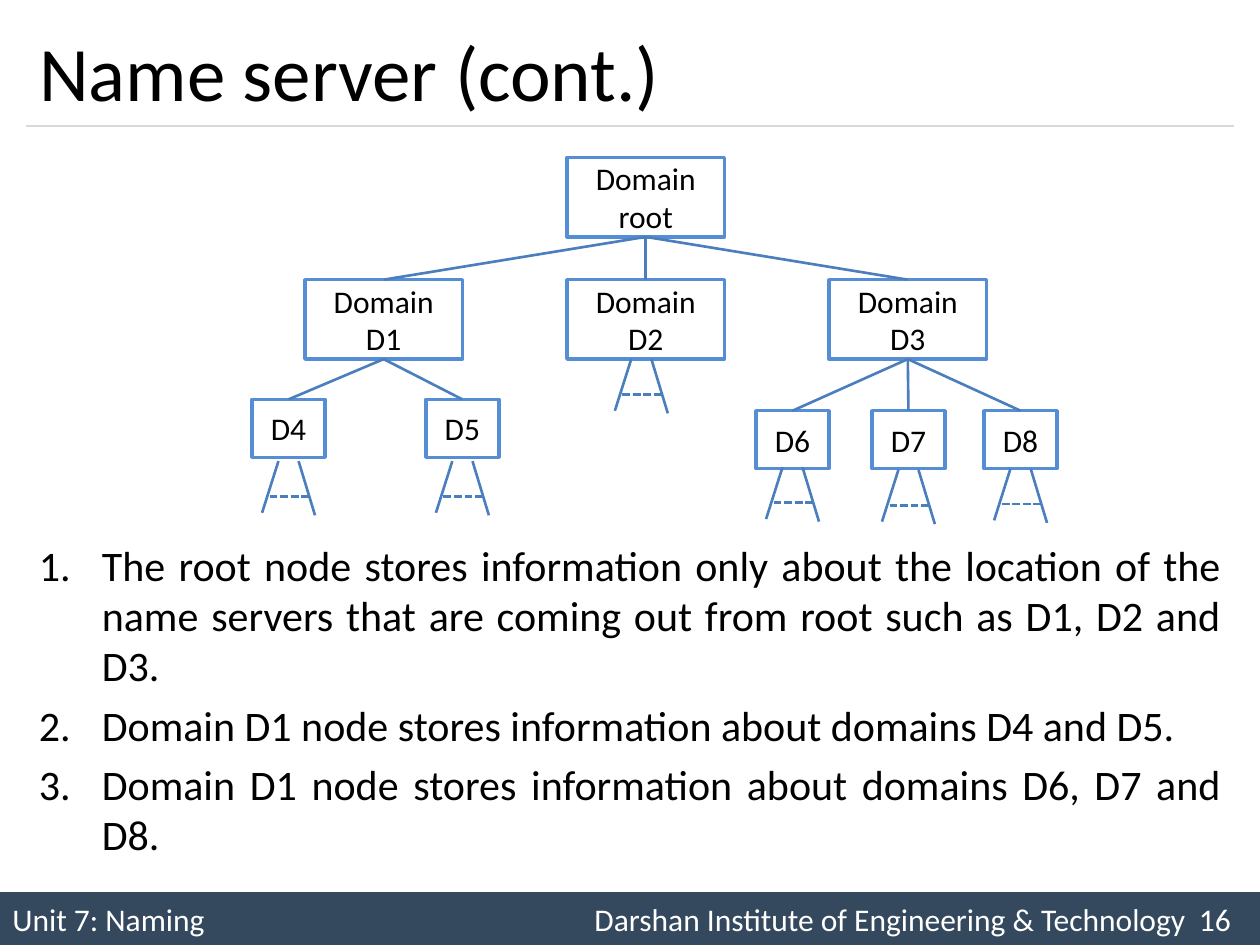
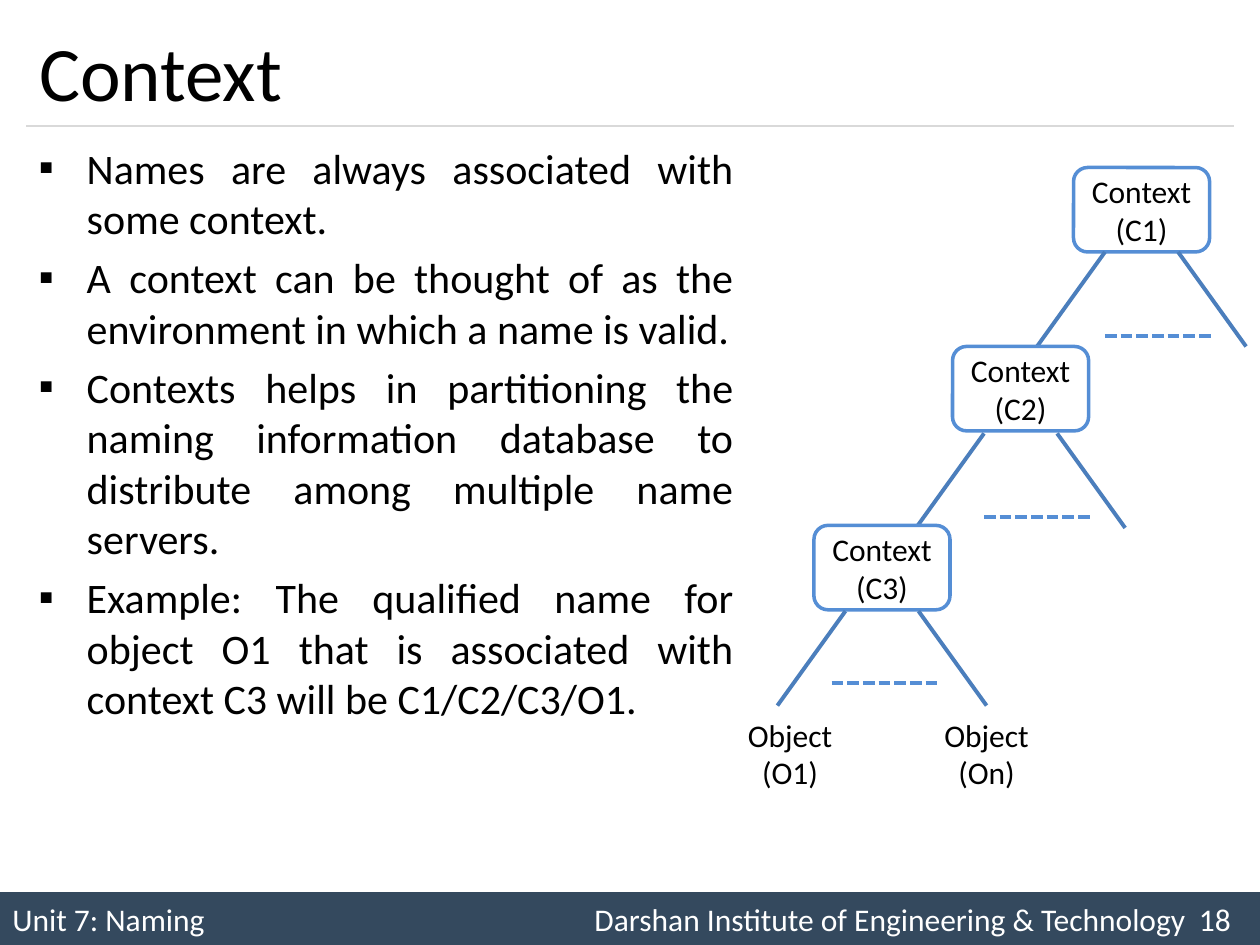
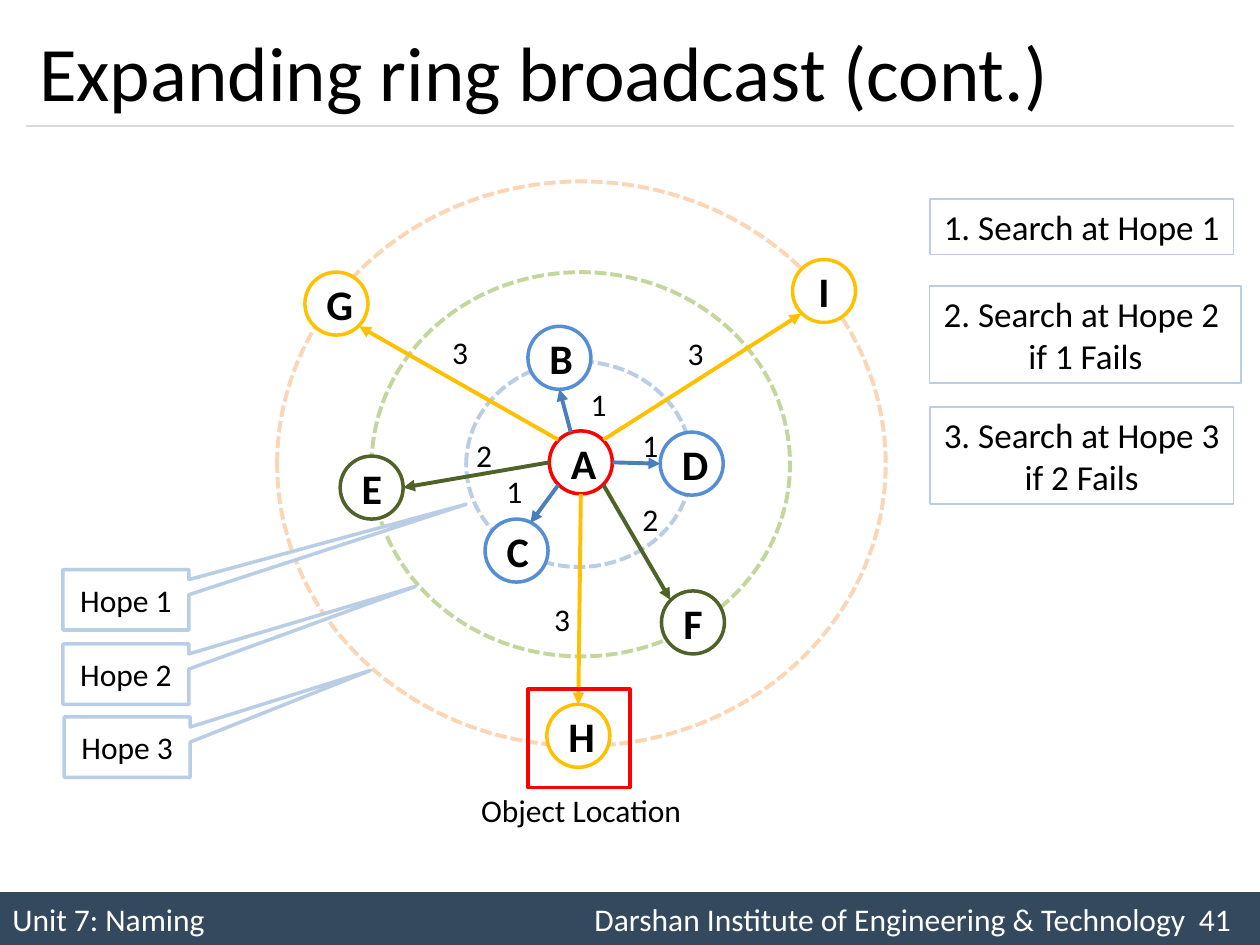
from dataclasses import dataclass
from math import cos, radians, sin

from lxml import etree
from pptx import Presentation
from pptx.dml.color import RGBColor
from pptx.enum import dml, shapes, text
from pptx.oxml import ns
from pptx.util import Pt

EMU_PER_PX = 9144
SHAPE = shapes.MSO_SHAPE
ALIGN = text.PP_ALIGN
ANCHOR = text.MSO_ANCHOR


@dataclass(frozen=True)
class Theme:
    font: str = "Calibri"
    ink: str = "000000"
    paper: str = "FFFFFF"
    band: str = "34495E"
    rule: str = "D9D9D9"
    outline: str = "558ED5"
    link: str = "4B7EBC"
    pale_blue: str = "B9CDE5"
    pale_green: str = "C3D69B"
    pale_orange: str = "FCD5B5"
    green: str = "4F6228"
    gold: str = "FFC000"
    red: str = "FF0000"
    title_size: int = 44
    body_size: int = 24
    step_size: int = 20
    label_size: int = 18


THEME = Theme()


def px(length):
    return round(length * EMU_PER_PX)


def add_xml(parent, tag, **attributes):
    return etree.SubElement(parent, ns.qn(tag), attributes)


def write(frame, content, size=THEME.label_size, color=THEME.ink, bold=False,
          align=ALIGN.LEFT, anchor=ANCHOR.TOP, wrap=True, bullet=None, hang=0,
          gap=0, tabs=()):
    frame.word_wrap = wrap
    frame.auto_size = text.MSO_AUTO_SIZE.NONE
    frame.vertical_anchor = anchor
    for index, line in enumerate(content.split("\n")):
        paragraph = frame.add_paragraph() if index else frame.paragraphs[0]
        paragraph.alignment = align
        properties = paragraph._p.get_or_add_pPr()
        if bullet:
            properties.set("marL", str(px(hang)))
            properties.set("indent", str(-px(hang)))
            add_xml(properties, "a:buFont", typeface=THEME.font)
            if bullet == "1.":
                add_xml(properties, "a:buAutoNum", type="arabicPeriod")
            else:
                add_xml(properties, "a:buChar", char=bullet)
        if tabs:
            stops = add_xml(properties, "a:tabLst")
            for position, side in tabs:
                add_xml(stops, "a:tab", pos=str(px(position)), algn=side)
        if index and gap:
            paragraph.space_before = Pt(gap)
        run = paragraph.add_run()
        run.text = line
        run.font.name = THEME.font
        run.font.size = Pt(size)
        run.font.bold = bold
        run.font.color.rgb = RGBColor.from_string(color)


class Deck:
    def __init__(self, theme):
        self.theme = theme
        self.presentation = Presentation()
        self.presentation.slide_width = px(1000)
        self.presentation.slide_height = px(750)
        self.slide = None

    def new_slide(self, title, number):
        theme = self.theme
        self.slide = self.presentation.slides.add_slide(self.presentation.slide_layouts[5])
        heading = self.slide.shapes.title
        heading.left, heading.top, heading.width, heading.height = map(px, (21, 12, 958, 88))
        write(heading.text_frame, title, size=theme.title_size, anchor=ANCHOR.MIDDLE)
        self.shape(SHAPE.RECTANGLE, (0, 708, 1000, 42),
                   f"Unit 7: Naming\tDarshan Institute of Engineering & Technology\t{number}",
                   fill=theme.band, line=None, color=theme.paper, align=ALIGN.LEFT,
                   tabs=((462, "l"), (967, "r")))
        self.line((21, 100), (979, 100), color=theme.rule, weight=0.75)

    def shape(self, kind, box, content="", fill=THEME.paper, line=THEME.outline,
              weight=2, dashed=False, adjust=(), align=ALIGN.CENTER,
              anchor=ANCHOR.MIDDLE, **style):
        shape = self.slide.shapes.add_shape(kind, *map(px, box))
        shape.shadow.inherit = False
        for index, value in enumerate(adjust):
            shape.adjustments[index] = value
        if fill:
            shape.fill.solid()
            shape.fill.fore_color.rgb = RGBColor.from_string(fill)
        else:
            shape.fill.background()
        if line:
            self.stroke(shape.line, line, weight, dashed)
        else:
            shape.line.fill.background()
        if content:
            write(shape.text_frame, content, align=align, anchor=anchor, **style)
        return shape

    def stroke(self, line, color, weight, dashed):
        line.color.rgb = RGBColor.from_string(color)
        line.width = Pt(weight)
        if dashed:
            line.dash_style = dml.MSO_LINE.SQUARE_DOT

    def line(self, start, end, color=THEME.link, weight=1.5, dashed=False, arrow=False):
        connector = self.slide.shapes.add_connector(
            shapes.MSO_CONNECTOR.STRAIGHT, *map(px, (*start, *end)))
        self.stroke(connector.line, color, weight, dashed)
        if arrow:
            add_xml(connector.line._get_or_add_ln(), "a:tailEnd", type="triangle")
        add_xml(connector._element.spPr, "a:effectLst")
        return connector

    def branch(self, parent, child):
        connector = self.line((0, 0), (0, 0))
        connector.begin_connect(parent, 2)
        connector.end_connect(child, 0)

    def text(self, box, content, **style):
        label = self.slide.shapes.add_textbox(*map(px, box))
        write(label.text_frame, content, **style)

    def points(self, box, content, bullet, hang):
        self.text(box, content, size=self.theme.body_size, align=ALIGN.JUSTIFY,
                  bullet=bullet, hang=hang, gap=5)

    def open_subtree(self, center, top):
        self.line((center - 8, top), (center - 21, top + 41))
        self.line((center + 8, top), (center + 21, top + 43))
        self.line((center - 15, top + 28), (center + 16, top + 28), dashed=True)


def name_server(deck):
    deck.new_slide("Name server (cont.)", 16)
    deck.points((21, 423, 958, 268),
                "The root node stores information only about the location of the name servers "
                "that are coming out from root such as D1, D2 and D3.\n"
                "Domain D1 node stores information about domains D4 and D5.\n"
                "Domain D1 node stores information about domains D6, D7 and D8.",
                bullet="1.", hang=50)
    root = deck.shape(SHAPE.RECTANGLE, (450, 125, 125, 63), "Domain\nroot")
    domains = {}
    for index, name in enumerate(("D1", "D2", "D3")):
        domains[name] = deck.shape(
            SHAPE.RECTANGLE, (242 + 208 * index, 222, 125, 63), f"Domain\n{name}")
        deck.branch(root, domains[name])
    for name, parent, left, top, subtree_top in (
            ("D4", "D1", 200, 317, 366), ("D5", "D1", 338, 317, 366),
            ("D6", "D3", 600, 326, 371), ("D7", "D3", 692, 326, 373),
            ("D8", "D3", 781, 326, 372)):
        leaf = deck.shape(SHAPE.RECTANGLE, (left, top, 58, 46), name)
        deck.branch(domains[parent], leaf)
        deck.open_subtree(left + 29, subtree_top)
    deck.open_subtree(509, 285)


def context(deck):
    deck.new_slide("Context", 18)
    deck.points((21, 108, 571, 583),
                "Names are always associated with some context.\n"
                "A context can be thought of as the environment in which a name is valid.\n"
                "Contexts helps in partitioning the naming information database to distribute "
                "among multiple name servers.\n"
                "Example: The qualified name for object O1 that is associated with context C3 "
                "will be C1/C2/C3/O1.",
                bullet="▪", hang=38)
    for name, left, top, legs_top, dash_left, dash_y in (
            ("C1", 852, 133, 200, 877, 267), ("C2", 756, 275, 344, 781, 410),
            ("C3", 646, 417, 485, 660, 542)):
        deck.shape(SHAPE.ROUNDED_RECTANGLE, (left, top, 108, 67), f"Context\n({name})")
        center = left + 54
        for side in (-1, 1):
            deck.line((center + 29 * side, legs_top), (center + 83 * side, legs_top + 75),
                      weight=2.25)
        deck.line((dash_left, dash_y), (dash_left + 84, dash_y),
                  color=deck.theme.outline, weight=2.25, dashed=True)
    for name, left in (("O1", 583), ("On", 739)):
        deck.text((left, 563, 88, 71), f"Object\n({name})", align=ALIGN.CENTER, wrap=False)


def expanding_ring(deck):
    theme = deck.theme
    radius = 25
    deck.new_slide("Expanding ring broadcast (cont.)", 41)
    for box, color in (((370, 287, 179, 163), theme.pale_blue),
                       ((295, 216, 332, 305), theme.pale_green),
                       ((220, 144, 483, 448), theme.pale_orange)):
        deck.shape(SHAPE.OVAL, box, fill=None, line=color, weight=2.25, dashed=True)

    nodes = {"A": (461, 367, theme.red),
             "B": (444, 284, theme.outline), "C": (410, 437, theme.outline),
             "D": (549, 368, theme.outline),
             "E": (295, 387, theme.green), "F": (550, 494, theme.green),
             "G": (267, 241, theme.gold), "H": (459, 584, theme.gold),
             "I": (654, 231, theme.gold)}
    for name, (x, y, color) in nodes.items():
        deck.shape(SHAPE.OVAL, (x - radius, y - radius, 2 * radius, 2 * radius), name,
                   line=color, size=theme.body_size, bold=True)

    def rim(name, degrees):
        x, y, _ = nodes[name]
        angle = radians(degrees)
        return round(x + radius * cos(angle)), round(y + radius * sin(angle))

    for target, leaving, arriving, color in (
            ("C", 135, 297, theme.link), ("H", 90, 270, theme.gold),
            ("F", 45, 225, theme.green), ("D", 0, 180, theme.link),
            ("I", 315, 135, theme.gold), ("B", 252, 90, theme.link),
            ("G", 225, 45, theme.gold), ("E", 180, 0, theme.green)):
        deck.line(rim("A", leaving), rim(target, arriving), color=color,
                  weight=2.25, arrow=True)

    for hop, left, top, tip in ((1, 50, 452, (2.7, -1.58)), (2, 50, 511, (2.3, -1.45)),
                                (3, 51, 569, (1.93, -1.27))):
        deck.shape(SHAPE.RECTANGULAR_CALLOUT, (left, top, 100, 48), f"Hope {hop}",
                   line=theme.pale_blue, adjust=tip)

    for box, step in (((738, 158, 241, 44), "1. Search at Hope 1"),
                      ((738, 227, 247, 77), "2. Search at Hope 2 \nif 1 Fails"),
                      ((738, 323, 241, 77), "3. Search at Hope 3\nif 2 Fails")):
        deck.shape(SHAPE.RECTANGLE, box, step, fill=None, line=theme.pale_blue,
                   weight=0.75, size=theme.step_size, anchor=ANCHOR.TOP, wrap=False)

    for hop, left, top in ((1, 459, 301), (1, 500, 333), (1, 392, 370),
                           (2, 368, 341), (2, 500, 392),
                           (3, 536, 260), (3, 349, 259), (3, 430, 471)):
        deck.text((left, top, 33, 40), str(hop), wrap=False)
    deck.shape(SHAPE.RECTANGLE, (419, 547, 81, 78), fill=None, line=theme.red)
    deck.text((372, 623, 181, 40), "Object Location", wrap=False)


def main():
    deck = Deck(THEME)
    name_server(deck)
    context(deck)
    expanding_ring(deck)
    deck.presentation.save("out.pptx")


if __name__ == "__main__":
    main()
